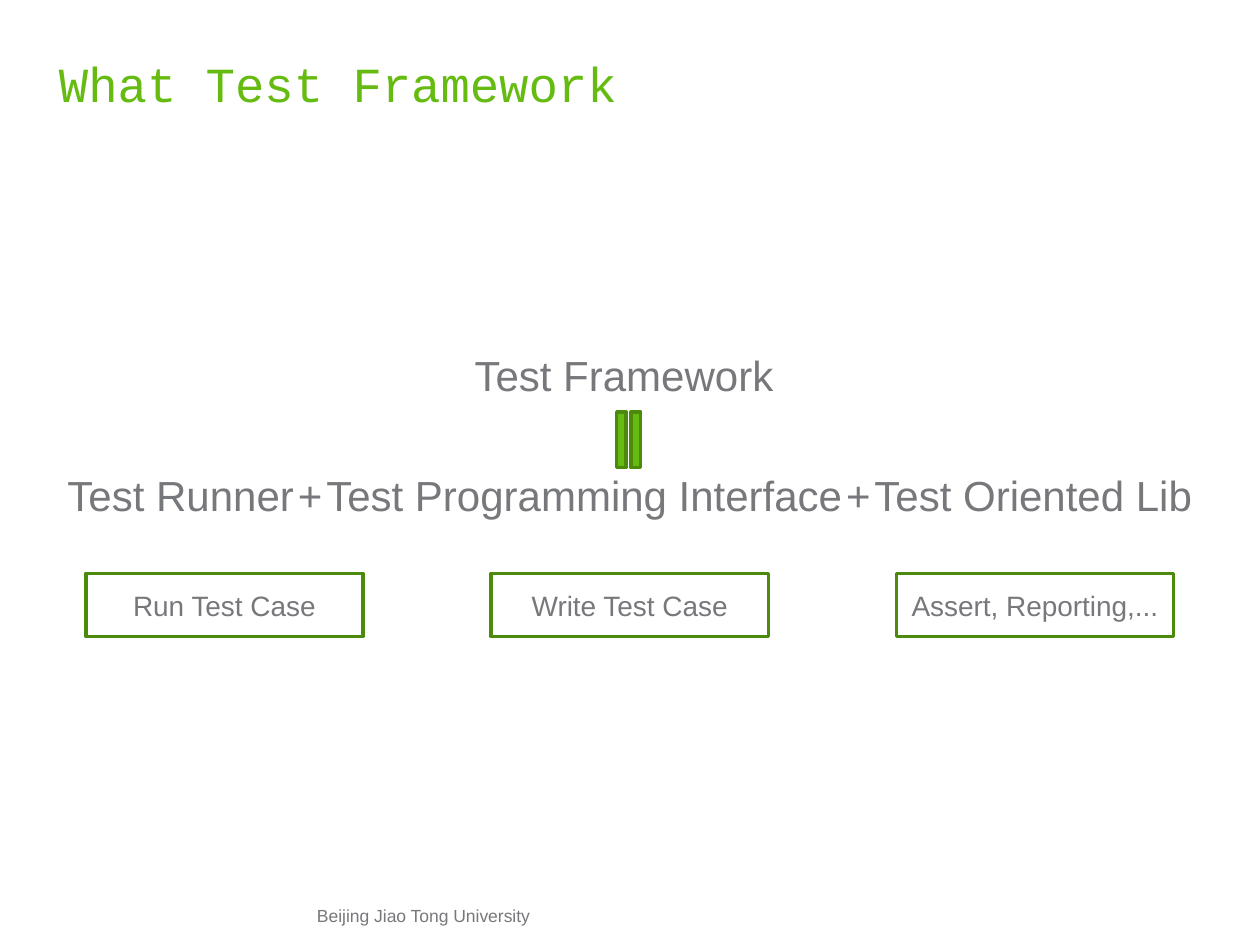
from pptx import Presentation
from pptx.dml.color import RGBColor
from pptx.enum.shapes import MSO_SHAPE
from pptx.enum.text import MSO_ANCHOR, PP_ALIGN
from pptx.util import Cm, Pt

GREEN, DARK_GREEN, GREY = "65BB10", "4B8A0C", "77787B"
BODY = {"name": "Arial", "size": Pt(24)}
NARROW_SPACE = (" ", 8)


def rgb(value):
    return RGBColor.from_string(value)


def set_attrs(target, values):
    for name, value in values.items():
        setattr(target, name, value)


def prepare_frame(shape, anchor):
    tf = shape.text_frame
    set_attrs(tf, {"margin_left": 0, "margin_right": 0, "margin_top": 0,
                   "margin_bottom": 0, "word_wrap": True,
                   "vertical_anchor": anchor})
    return tf


def add_run(p, text, color=GREY, **font):
    r = p.add_run()
    r.text = text
    set_attrs(r.font, {**BODY, **font})
    r.font.color.rgb = rgb(color)


def add_textbox(s, box, anchor=MSO_ANCHOR.TOP):
    return prepare_frame(s.shapes.add_textbox(*map(Cm, box)), anchor)


def add_outlined_shape(s, kind, box, fill=None):
    sp = s.shapes.add_shape(kind, *map(Cm, box))
    sp.shadow.inherit = False
    if fill:
        sp.fill.solid()
        sp.fill.fore_color.rgb = rgb(fill)
    else:
        sp.fill.background()
    sp.line.color.rgb = rgb(DARK_GREEN)
    sp.line.width = Pt(2)
    return sp


def add_title(s):
    tf = add_textbox(s, (1.19, 0.94, 23.01, 1.45), MSO_ANCHOR.MIDDLE)
    add_run(tf.paragraphs[0], "What Test Framework", GREEN,
            name="Courier New", size=Pt(28))


def add_equation(s):
    """The framework, and below it the sum of its parts."""
    tf = add_textbox(s, (1.19, 7.04, 23.01, 3.4))
    p = tf.paragraphs[0]
    p.alignment = PP_ALIGN.CENTER
    add_run(p, "Test Framework ")

    p = tf.add_paragraph()
    set_attrs(p, {"alignment": PP_ALIGN.CENTER, "space_before": Pt(40)})
    plus = [NARROW_SPACE, ("+", 24), NARROW_SPACE]
    terms = [("Test Runner", 24), *plus,
             ("Test Programming Interface", 24), *plus,
             ("Test Oriented Lib", 24)]
    for text, size in terms:
        add_run(p, text, size=Pt(size))

    equal = add_outlined_shape(s, MSO_SHAPE.MATH_EQUAL,
                               (11.91, 8.46, 1.52, 0.81), GREEN)
    equal.rotation = 90


def add_purpose_boxes(s):
    labels = ["Run Test Case", "Write Test Case", "Assert, Reporting,..."]
    for i, label in enumerate(labels):
        sp = add_outlined_shape(s, MSO_SHAPE.RECTANGLE,
                                (1.73 + i * 8.17, 11.56, 5.59, 1.27))
        p = prepare_frame(sp, MSO_ANCHOR.MIDDLE).paragraphs[0]
        p.alignment = PP_ALIGN.CENTER
        add_run(p, label, size=Pt(16))


def add_footer(s):
    p = add_textbox(s, (4.47, 18.24, 8.23, 0.7)).paragraphs[0]
    p.alignment = PP_ALIGN.CENTER
    add_run(p, "Beijing Jiao Tong University ", size=Pt(10))


def main():
    prs = Presentation()
    set_attrs(prs, {"slide_width": Cm(25.4), "slide_height": Cm(19.05)})
    s = prs.slides.add_slide(prs.slide_layouts[6])
    add_title(s)
    add_footer(s)
    add_equation(s)
    add_purpose_boxes(s)
    prs.save("out.pptx")


if __name__ == "__main__":
    main()
